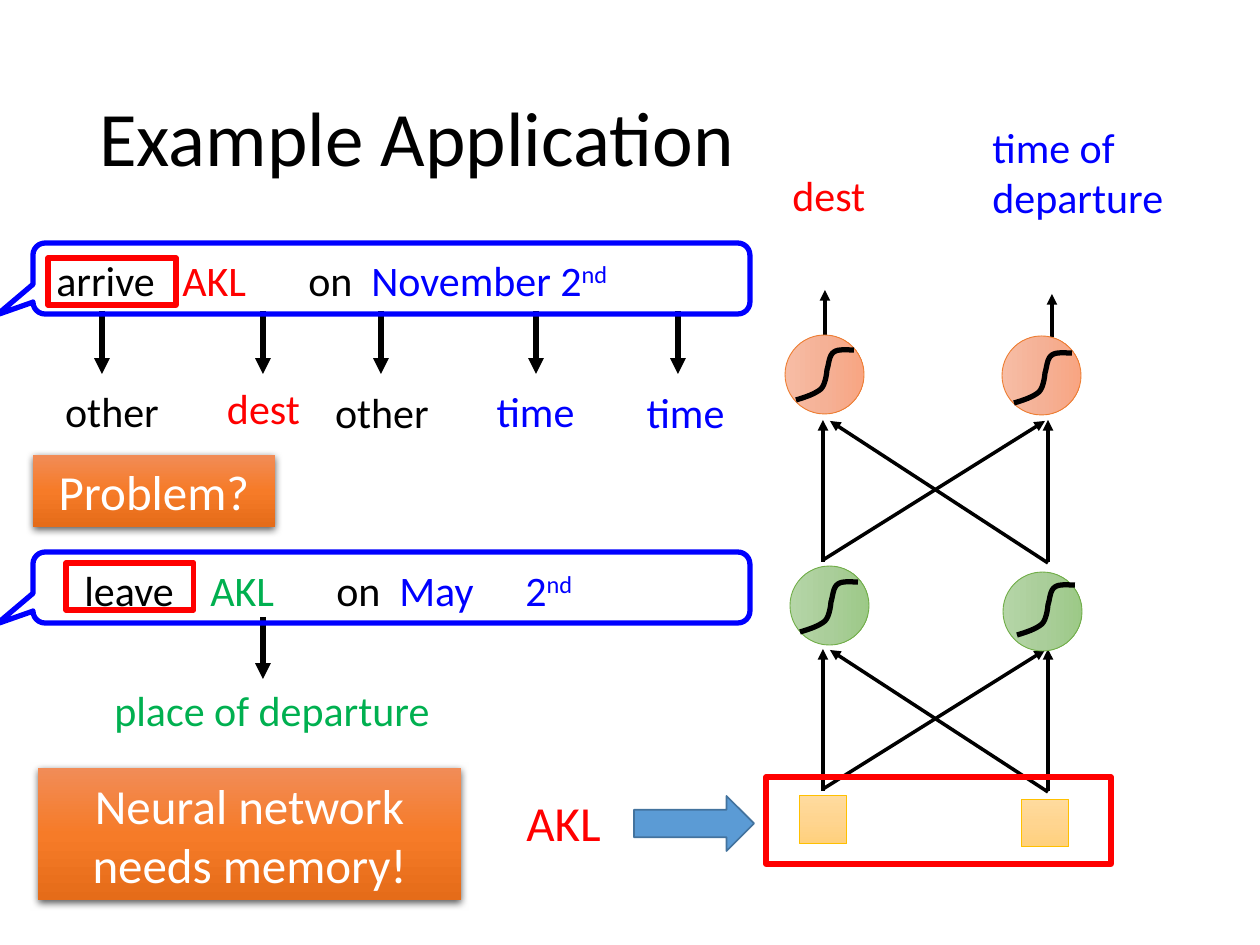
from copy import deepcopy

from lxml import etree
from pptx import Presentation
from pptx.dml.color import RGBColor
from pptx.enum.shapes import MSO_CONNECTOR, MSO_SHAPE
from pptx.enum.text import MSO_ANCHOR, PP_ALIGN
from pptx.oxml.ns import qn
from pptx.util import Pt

PX = 914400 / 126
LEFT, CENTER = PP_ALIGN.LEFT, PP_ALIGN.CENTER
RECT, OVAL = MSO_SHAPE.RECTANGLE, MSO_SHAPE.OVAL
BLOCK_ARROW = MSO_SHAPE.RIGHT_ARROW
CALLOUT = MSO_SHAPE.ROUNDED_RECTANGULAR_CALLOUT
STRAIGHT = MSO_CONNECTOR.STRAIGHT

BLACK = RGBColor(0, 0, 0)
WHITE = RGBColor(255, 255, 255)
RED = RGBColor(255, 0, 0)
BLUE = RGBColor(0, 0, 255)
GREEN = RGBColor(0x00, 0xB0, 0x50)
STEEL = RGBColor(0x5B, 0x9B, 0xD5)
STEEL_EDGE = RGBColor(0x43, 0x73, 0x9E)
GOLD_EDGE = RGBColor(0xFF, 0xC0, 0x00)
GREEN_EDGE = RGBColor(0x70, 0xAD, 0x47)
ORANGE_EDGE = RGBColor(0xED, 0x7D, 0x31)
GOLD_FADE = [RGBColor(0xFF, 0xDB, 0x9E), RGBColor(0xFF, 0xD5, 0x90), RGBColor(0xFF, 0xD0, 0x7C)]
GREEN_FADE = [RGBColor(0xB5, 0xD5, 0xA7), RGBColor(0xAA, 0xCE, 0x9A), RGBColor(0x9C, 0xC9, 0x87)]
PEACH_FADE = [RGBColor(0xF7, 0xBD, 0xA5), RGBColor(0xF5, 0xB1, 0x96), RGBColor(0xF8, 0xA5, 0x82)]
ORANGE_FADE = [RGBColor(0xF1, 0x8C, 0x57), RGBColor(0xF6, 0x7B, 0x28), RGBColor(0xE5, 0x6C, 0x19)]

deck = Presentation()
deck.slide_width, deck.slide_height = round(1260 * PX), round(945 * PX)
page = deck.slides.add_slide(deck.slide_layouts[6])


def write(text, at=None, box=None, size=24, color=BLACK, align=LEFT, wrap=True,
          anchor=MSO_ANCHOR.TOP, spacing=None, indent=0, tabs=()):
    """Write a string, or a list of (text, colour, raised) spans, in a box."""
    box = box or page.shapes.add_textbox(*[round(v * PX) for v in at])
    frame = box.text_frame
    frame.word_wrap = wrap
    frame.vertical_anchor = anchor
    para = frame.paragraphs[0]
    para.alignment = align
    if spacing:
        para.line_spacing = spacing
    if tabs:
        properties = para._p.get_or_add_pPr()
        properties.set("marL", str(round(indent * PX)))
        properties.set("indent", "0")
        tab_list = etree.SubElement(properties, qn("a:tabLst"))
        for stop in tabs:
            etree.SubElement(tab_list, qn("a:tab"), pos=str(round(stop * PX)), algn="l")
    spans = [(text, color, False)] if isinstance(text, str) else text
    for words, tint, raised in spans:
        span = para.add_run()
        span.text = words
        span.font.name = "Calibri"
        span.font.size = Pt(size)
        span.font.color.rgb = tint
        if raised:
            span.font._element.set("baseline", "30000")


def draw(kind, at, fill=None, line=None, width=1, angle=270):
    """Add a preset shape; a list of three colours makes a gradient."""
    shape = page.shapes.add_shape(kind, *[round(v * PX) for v in at])
    shape.shadow.inherit = False
    if isinstance(fill, list):
        shape.fill.gradient()
        shape.fill.gradient_angle = angle
        stops = shape._element.spPr.find(".//" + qn("a:gsLst"))
        stops.insert(1, deepcopy(stops[0]))
        for stop, tint, position in zip(shape.fill.gradient_stops, fill, (0, 0.5, 1)):
            stop.color.rgb = tint
            stop.position = position
    elif fill:
        shape.fill.solid()
        shape.fill.fore_color.rgb = fill
    else:
        shape.fill.background()
    if line:
        shape.line.color.rgb = line
        shape.line.width = Pt(width)
    else:
        shape.line.fill.background()
    return shape


# Title
write("Example Application", at=(87, 50, 1086, 183), size=44,
      anchor=MSO_ANCHOR.MIDDLE, spacing=0.9)

# Arrows: network outputs, two crossing layers, words to slots
arrows = [(1052, 384, 1052, 294, 2), (825, 379, 825, 290, 2)]
for rise in (0, 229):
    for x1, y1, x2, y2 in ((1048, 792, 830, 650), (823, 789, 1045, 650),
                           (1048, 791, 1048, 649), (823, 791, 823, 649)):
        arrows.append((x1, y1 - rise, x2, y2 - rise, 2))
arrows += [(x, 311, x, 374, 3) for x in (102, 263, 381, 536, 678)]
arrows.append((263, 617, 263, 679, 3))
for *ends, width in arrows:
    arrow = page.shapes.add_connector(STRAIGHT, *[round(v * PX) for v in ends])
    arrow.line.color.rgb = BLACK
    arrow.line.width = Pt(width)
    etree.SubElement(arrow.line._get_or_add_ln(), qn("a:tailEnd"), type="triangle")
    etree.SubElement(arrow._element.spPr, qn("a:effectLst"))

# Network inputs
for x, y in ((799, 796), (1021, 799)):
    draw(RECT, (x, y, 48, 48), GOLD_FADE, GOLD_EDGE, 0.5)
draw(RECT, (766, 777, 345, 87), line=RED, width=3)
write("AKL", at=(514, 786, 101, 72), size=28, color=RED, wrap=False)
draw(BLOCK_ARROW, (634, 796, 120, 55), STEEL, STEEL_EDGE)

# Neurons, each with a sigmoid made of four Bezier pieces
SIGMOID = [(0, 50), (10, 47), (19, 44), (25, 39), (30, 34), (31, 20), (31, 20),
           (33, 14), (33, 5), (38, 2), (42, -1), (49, 0), (58, 0)]
STEPS = 8
curve = []
for first in range(0, len(SIGMOID) - 1, 3):
    for step in range(1, STEPS + 1):
        t = step / STEPS
        weights = ((1 - t) ** 3, 3 * t * (1 - t) ** 2, 3 * t * t * (1 - t), t ** 3)
        piece = SIGMOID[first:first + 4]
        curve.append([sum(w * p[axis] for w, p in zip(weights, piece)) for axis in (0, 1)])
for x, y, curve_x, curve_y, fade, edge in (
        (790, 566, 800, 582, GREEN_FADE, GREEN_EDGE),
        (1003, 572, 1017, 585, GREEN_FADE, GREEN_EDGE),
        (785, 335, 796, 350, PEACH_FADE, ORANGE_EDGE),
        (1002, 336, 1014, 353, PEACH_FADE, ORANGE_EDGE)):
    draw(OVAL, (x, y, 79, 79), fade, edge, 0.5, angle=0)
    builder = page.shapes.build_freeform(
        round((curve_x + SIGMOID[0][0]) * PX), round((curve_y + SIGMOID[0][1]) * PX))
    builder.add_line_segments(
        [(round((curve_x + dx) * PX), round((curve_y + dy) * PX)) for dx, dy in curve],
        close=False)
    sigmoid = builder.convert_to_shape()
    sigmoid.shadow.inherit = False
    sigmoid.fill.background()
    sigmoid.line.color.rgb = BLACK
    sigmoid.line.width = Pt(3)

# Network output labels
write("dest", at=(780, 163, 131, 63), color=RED)
write("time of departure", at=(980, 115, 299, 115), color=BLUE)

# Sentences in callouts, with the first word framed
for verb, place_color, month, x, y, tabs, frame_at, callout_y in (
        ("arrive", RED, "November", -19, 248, (208, 319, 411, 638), (48, 258), 243),
        ("leave", GREEN, "May", 9, 558, (200, 312, 404, 525), (66, 563), 552)):
    write([(verb + "\t", BLACK, False), ("AKL\t", place_color, False),
           ("on\t", BLACK, False), (month + "\t2", BLUE, False), ("nd", BLUE, True)],
          at=(x, y, 770, 63), indent=63, tabs=tabs)
    bubble = draw(CALLOUT, (33, callout_y, 717, 71), line=BLUE, width=3)
    for index, value in enumerate((-0.55, 0.51, 0.17)):
        bubble.adjustments[index] = value
    draw(RECT, (*frame_at, 128, 47), line=RED, width=3)

# Slot labels
for label, x, y, width, color in (
        ("other", 48, 379, 128, BLACK), ("other", 318, 380, 128, BLACK),
        ("dest", 204, 376, 119, RED), ("time", 470, 379, 131, BLUE),
        ("time", 620, 380, 131, BLUE)):
    write(label, at=(x, y, width, 63), color=color, align=CENTER)
write("place of departure", at=(102, 678, 403, 63), color=GREEN)

# Orange banners with a soft shadow
for message, at in (("Neural network needs memory!", (38, 768, 423, 132)),
                    ("Problem?", (33, 455, 242, 72))):
    banner = draw(RECT, at, ORANGE_FADE)
    effects = banner._element.spPr.find(qn("a:effectLst"))
    shadow = etree.SubElement(effects, qn("a:outerShdw"), blurRad=str(Pt(4.5)),
                              dist=str(Pt(1.5)), dir="5400000", algn="ctr", rotWithShape="0")
    shade = etree.SubElement(shadow, qn("a:srgbClr"), val=str(BLACK))
    etree.SubElement(shade, qn("a:alpha"), val="63000")
    write(message, box=banner, size=28, color=WHITE, align=CENTER, anchor=MSO_ANCHOR.MIDDLE)

deck.save("out.pptx")
